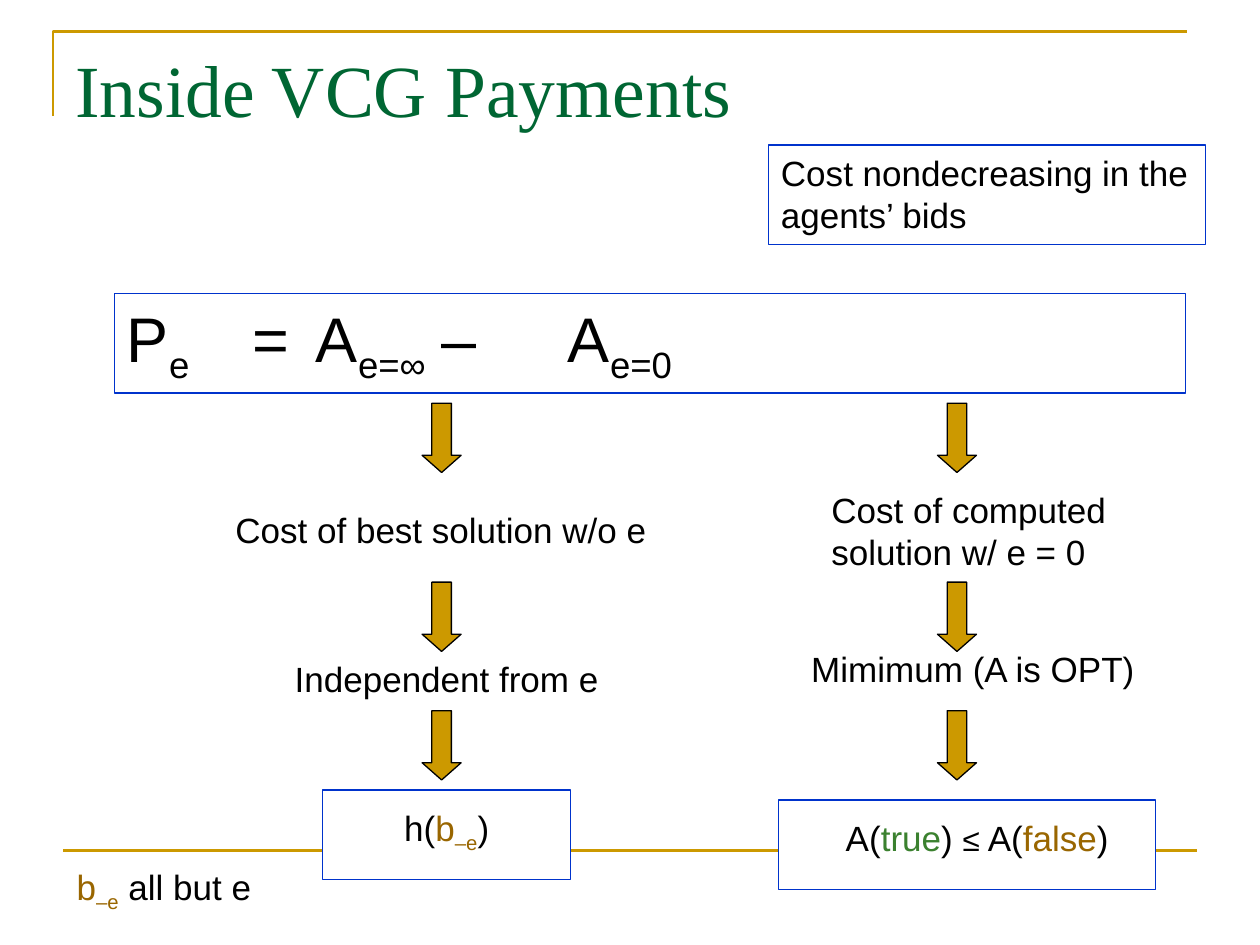
import pptx
import pptx.dml.color
import pptx.enum.shapes
import pptx.enum.text
import pptx.util
import lxml.etree

SHAPES = pptx.enum.shapes.MSO_SHAPE
ALIGN = pptx.enum.text.PP_ALIGN
INCH = pptx.util.Inches

GOLD, BLUE, BLACK, WHITE = "CC9900", "0033CC", "000000", "FFFFFF"
BROWN, GREEN, TITLE_GREEN = "996600", "3B812F", "006633"

SUB = {"sub": True}
BROWN_SUB = {"sub": True, "color": BROWN}

title = ((0.5, 0.3, 9, 1.25), [("Inside VCG Payments", {"color": TITLE_GREEN})])
formula = ((0.91, 2.33, 8.5, 0.79), [
    ("P", {}), ("e \t", SUB), ("= \tA", {}), ("e=∞ \t", SUB),
    ("– \t\tA", {}), ("e=0", SUB)])

labels = [
    ((1.77, 3.99, 3.47, 0.44), [("Cost of best solution w/o e", {})]),
    ((2.24, 5.17, 2.68, 0.44), [("Independent from e", {})]),
    ((3.11, 6.35, 1.57, 0.48), [
        ("h(", {}), ("b", {"color": BROWN}), ("–e", BROWN_SUB), (")", {})]),
    ((6.5, 3.83, 2.6, 0.77), [("Cost of computed solution w/ e = 0", {})]),
    ((6.34, 5.09, 2.84, 0.44), [("Mimimum (A is OPT)", {})]),
    ((0.51, 6.82, 2.6, 0.48), [
        ("b", {"color": BROWN}), ("–e", BROWN_SUB), (" all but e", {})]),
    ((6.1, 1.15, 3.47, 0.77), [("Cost nondecreasing in the agents’ bids", {})]),
]
comparison = ((6.26, 6.43, 2.99, 0.44), [
    ("A(", {}), ("true", {"color": GREEN}), (") ", {}), ("≤", {"size": 18}),
    (" A(", {}), ("false", {"color": BROWN}), (")", {})])

result_frames = [(6.18, 6.35, 2.99, 0.71), (2.56, 6.27, 1.97, 0.71)]
outline_frames = [formula[0], (6.1, 1.15, 3.47, 0.79)]
arrow_columns, arrow_rows, arrow_size = (3.35, 7.44), (3.2, 4.62, 5.64), (0.31, 0.55)

deck = pptx.Presentation()
deck.slide_width, deck.slide_height = INCH(10), INCH(7.5)
page = deck.slides.add_slide(deck.slide_layouts[6])


def rgb(value):
    return pptx.dml.color.RGBColor.from_string(value)


def set_line(shape, color, width):
    shape.line.color.rgb = rgb(color)
    shape.line.width = pptx.util.Pt(width)


def add_block(kind, area, fill, line):
    shape = page.shapes.add_shape(kind, *map(INCH, area))
    shape.shadow.inherit = False
    if fill:
        shape.fill.solid()
        shape.fill.fore_color.rgb = rgb(fill)
    else:
        shape.fill.background()
    set_line(shape, line, 0.75)
    return shape


def add_text(area, spans, size=20, font="Arial", align=ALIGN.LEFT):
    box = page.shapes.add_textbox(*map(INCH, area))
    box.text_frame.word_wrap = True
    para = box.text_frame.paragraphs[0]
    para.alignment = align
    para.font.name = font
    para.font.size = pptx.util.Pt(size)
    for text, style in spans:
        span = para.add_run()
        span.text = text
        span.font.name = font
        span.font.size = pptx.util.Pt(style.get("size", size))
        span.font.color.rgb = rgb(style.get("color", BLACK))
        if style.get("sub"):
            span.font._element.set("baseline", "-25000")


builder = page.shapes.build_freeform(INCH(0.42), INCH(0.92))
builder.add_line_segments([(INCH(0.42), INCH(0.25)), (INCH(9.42), INCH(0.25))], close=False)
corner = builder.convert_to_shape()
corner.shadow.inherit = False
corner.fill.background()
set_line(corner, GOLD, 1.5)

footer = page.shapes.add_connector(
    pptx.enum.shapes.MSO_CONNECTOR.STRAIGHT, INCH(0.5), INCH(6.75), INCH(9.5), INCH(6.75))
set_line(footer, GOLD, 1.5)
lxml.etree.SubElement(footer._element.spPr, pptx.oxml.ns.qn("a:effectLst"))

for area in result_frames:
    add_block(SHAPES.RECTANGLE, area, WHITE, BLUE)
for area in outline_frames:
    add_block(SHAPES.RECTANGLE, area, None, BLUE)
for left in arrow_columns:
    for top in arrow_rows:
        arrow = add_block(SHAPES.DOWN_ARROW, (left, top, *arrow_size), GOLD, BLACK)
        arrow.adjustments[1] = 0.44

add_text(*title, size=42, font="Times New Roman")
add_text(*formula, size=36)
for area, spans in labels:
    add_text(area, spans)
add_text(*comparison, align=ALIGN.CENTER)

deck.save("out.pptx")
